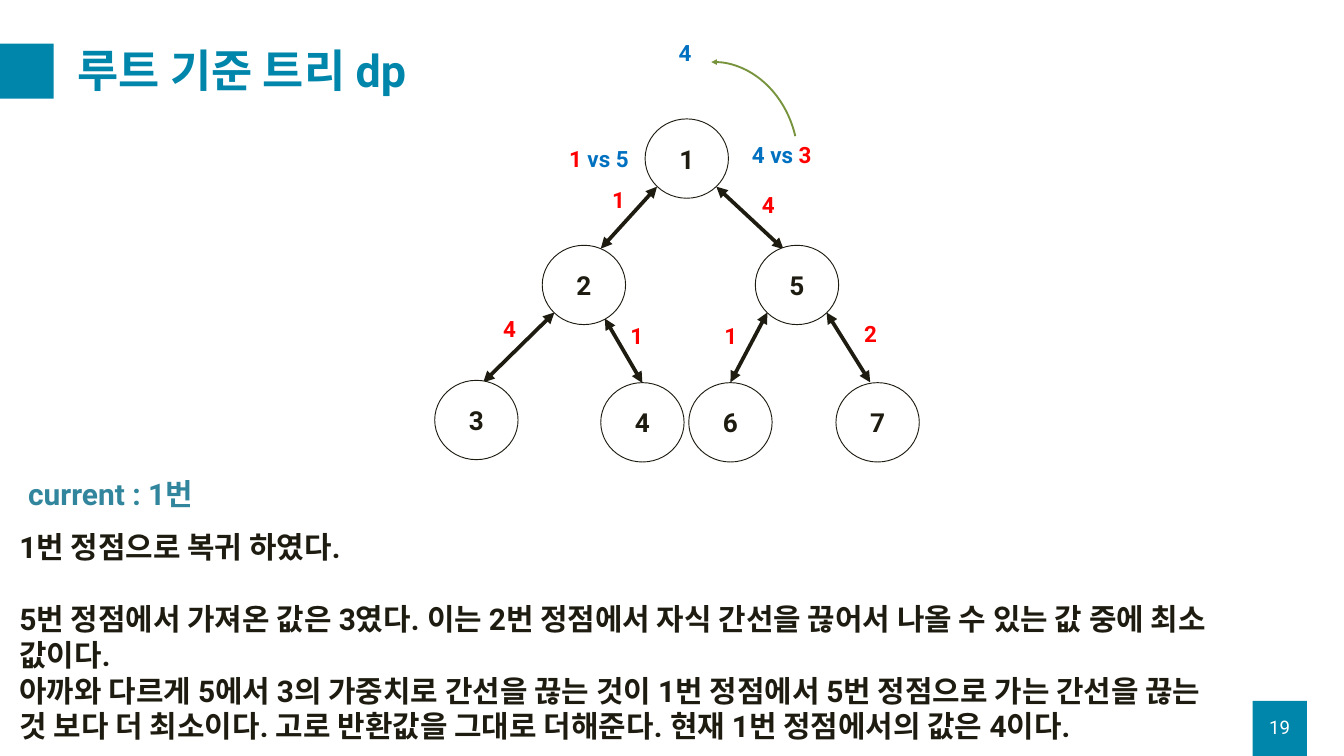
from pptx import Presentation
from pptx.dml.color import RGBColor
from pptx.enum.shapes import MSO_CONNECTOR, MSO_SHAPE
from pptx.enum.text import MSO_ANCHOR, PP_ALIGN
from pptx.util import Pt
from lxml import etree
from pptx.oxml.ns import qn

TEAL = RGBColor(0x00, 0x86, 0xAB)
AQUA = RGBColor(0x31, 0x85, 0x9C)
INK = RGBColor(0x1E, 0x1C, 0x11)
RED = RGBColor(0xFF, 0x00, 0x00)
BLUE = RGBColor(0x00, 0x70, 0xC0)
GREEN = RGBColor(0x77, 0x93, 0x3C)
WHITE = RGBColor(0xFF, 0xFF, 0xFF)

deck = Presentation()
deck.slide_width = Pt(1440)
deck.slide_height = Pt(810)
slide = deck.slides.add_slide(deck.slide_layouts[6])
shapes = slide.shapes


def style(run, size, color, bold=True):
    run.font.name = "Roboto"
    run.font.size = Pt(size)
    run.font.bold = bold
    run.font.color.rgb = color


def label(x, y, w, h, parts, size):
    box = shapes.add_textbox(Pt(x), Pt(y), Pt(w), Pt(h))
    box.text_frame.word_wrap = True
    for text, color in parts:
        run = box.text_frame.paragraphs[0].add_run()
        run.text = text
        style(run, size, color)
    return box


for x, y in [(1342, 751), (-0.7, 46.8)]:
    block = shapes.add_shape(MSO_SHAPE.RECTANGLE, Pt(x), Pt(y), Pt(58.3), Pt(59))
    block.shadow.inherit = False
    block.fill.solid()
    block.fill.fore_color.rgb = TEAL
    block.line.fill.background()

title = label(76.3, 36, 1314, 85, [("루트 기준 트리 dp", TEAL)], 48)
title.text_frame.vertical_anchor = MSO_ANCHOR.MIDDLE
title.text_frame.paragraphs[0].line_spacing = 0.9

page = label(1342, 757.4, 58.3, 43.2, [("19", WHITE)], 20)
page.text_frame.vertical_anchor = MSO_ANCHOR.MIDDLE
page.text_frame.paragraphs[0].alignment = PP_ALIGN.CENTER
page.text_frame.paragraphs[0].runs[0].font.bold = False

edges = [
    (704, 200, 643.7, 266.4, "1", 648.7, 195.8),
    (767.5, 200, 839.5, 267, "4", 809.3, 200.9),
    (594, 334.8, 517.7, 409.7, "4", 532, 334),
    (648, 341.3, 688.3, 410.4, "1", 668.2, 342),
    (822.2, 334.8, 782.6, 409.7, "1", 769, 342),
    (885.6, 334.8, 932.4, 409.7, "2", 918.7, 339),
]
for x1, y1, x2, y2, cost, x, y in edges:
    edge = shapes.add_connector(MSO_CONNECTOR.STRAIGHT, Pt(x1), Pt(y1), Pt(x2), Pt(y2))
    edge.line.color.rgb = INK
    edge.line.width = Pt(4)
    line = edge.line._get_or_add_ln()
    for end in ("a:headEnd", "a:tailEnd"):
        etree.SubElement(line, qn(end), type="triangle")
    etree.SubElement(edge._element.spPr, qn("a:effectLst"))
    label(x, y, 55.4, 36, [(cost, RED)], 24)

nodes = [
    ("1", 691.2, 127.4), ("2", 581, 262.8), ("5", 809.3, 262.8),
    ("3", 465.8, 407.5), ("4", 643.7, 410), ("6", 738, 410), ("7", 895.7, 410),
]
for name, x, y in nodes:
    node = shapes.add_shape(MSO_SHAPE.OVAL, Pt(x), Pt(y), Pt(89.3), Pt(85))
    node.shadow.inherit = False
    node.fill.solid()
    node.fill.fore_color.rgb = WHITE
    node.line.color.rgb = INK
    node.line.width = Pt(1)
    frame = node.text_frame
    frame.text = name
    frame.vertical_anchor = MSO_ANCHOR.MIDDLE
    frame.paragraphs[0].alignment = PP_ALIGN.CENTER
    style(frame.paragraphs[0].runs[0], 28, INK)

lines = [
    "1번 정점으로 복귀 하였다.",
    "5번 정점에서 가져온 값은 3였다. 이는 2번 정점에서 자식 간선을 끊어서 나올 수 있는 값 중에 최소 값이다.",
    "아까와 다르게 5에서 3의 가중치로 간선을 끊는 것이 1번 정점에서 5번 정점으로 가는 간선을 끊는",
    "것 보다 더 최소이다. 고로 반환값을 그대로 더해준다. 현재 1번 정점에서의 값은 4이다.",
]
body = shapes.add_textbox(Pt(13.7), Pt(563), Pt(1379.5), Pt(239.8)).text_frame
body.word_wrap = True
body.text = "\n".join(lines)
for para in body.paragraphs:
    style(para.runs[0], 32, INK)
body.paragraphs[0].space_after = Pt(38.5)

label(23, 506.2, 636.5, 46, [("current : 1번", AQUA)], 32)
label(602.6, 152, 82, 36, [("1", RED), (" vs 5", BLUE)], 24)
label(798.5, 147.6, 82, 36, [("4 vs", BLUE), (" 3", RED)], 24)
label(720, 38.9, 55.4, 36, [("4", BLUE)], 24)

arc = shapes.add_shape(MSO_SHAPE.ARC, Pt(690.5), Pt(65.5), Pt(163.4), Pt(195))
arc.adjustments[0] = 167.35
arc.adjustments[1] = 1.7
arc.rotation = 345.1
arc.shadow.inherit = False
arc.fill.background()
arc.line.color.rgb = GREEN
arc.line.width = Pt(2)
etree.SubElement(arc.line._get_or_add_ln(), qn("a:headEnd"), type="triangle")

deck.save("out.pptx")
